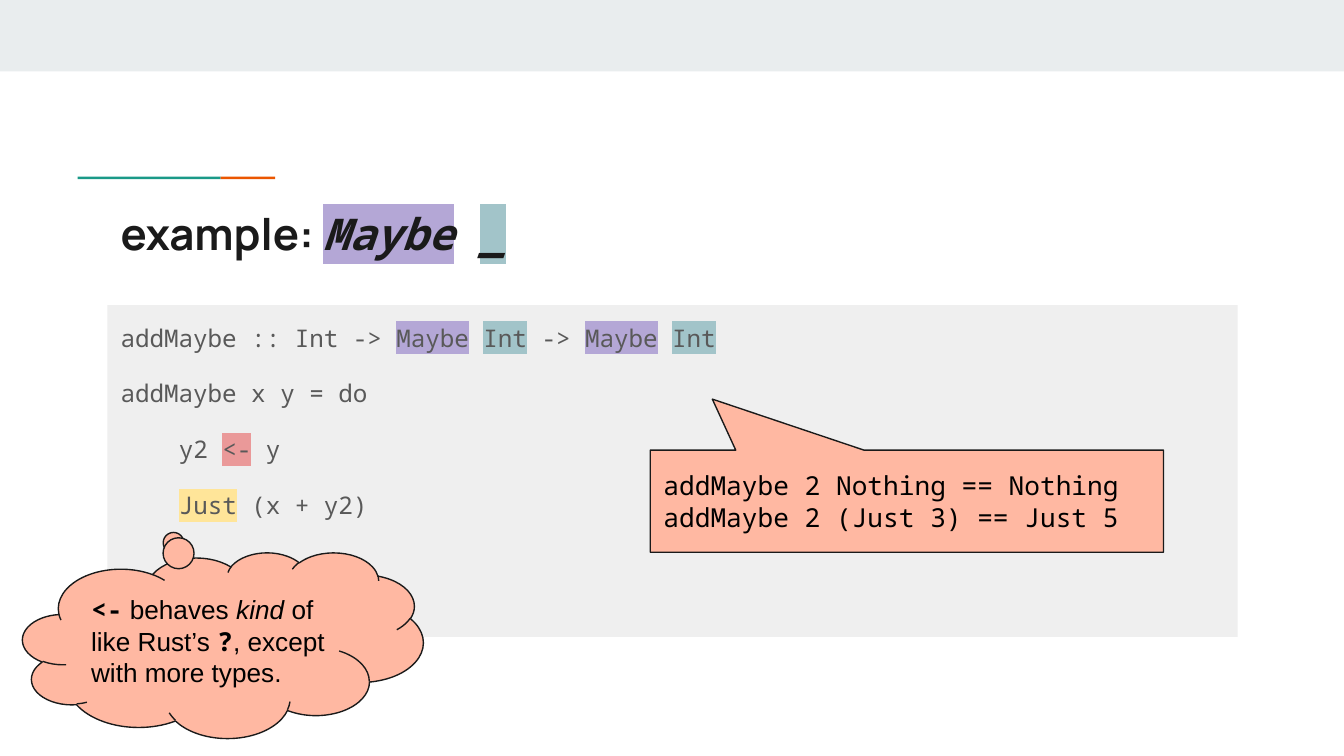
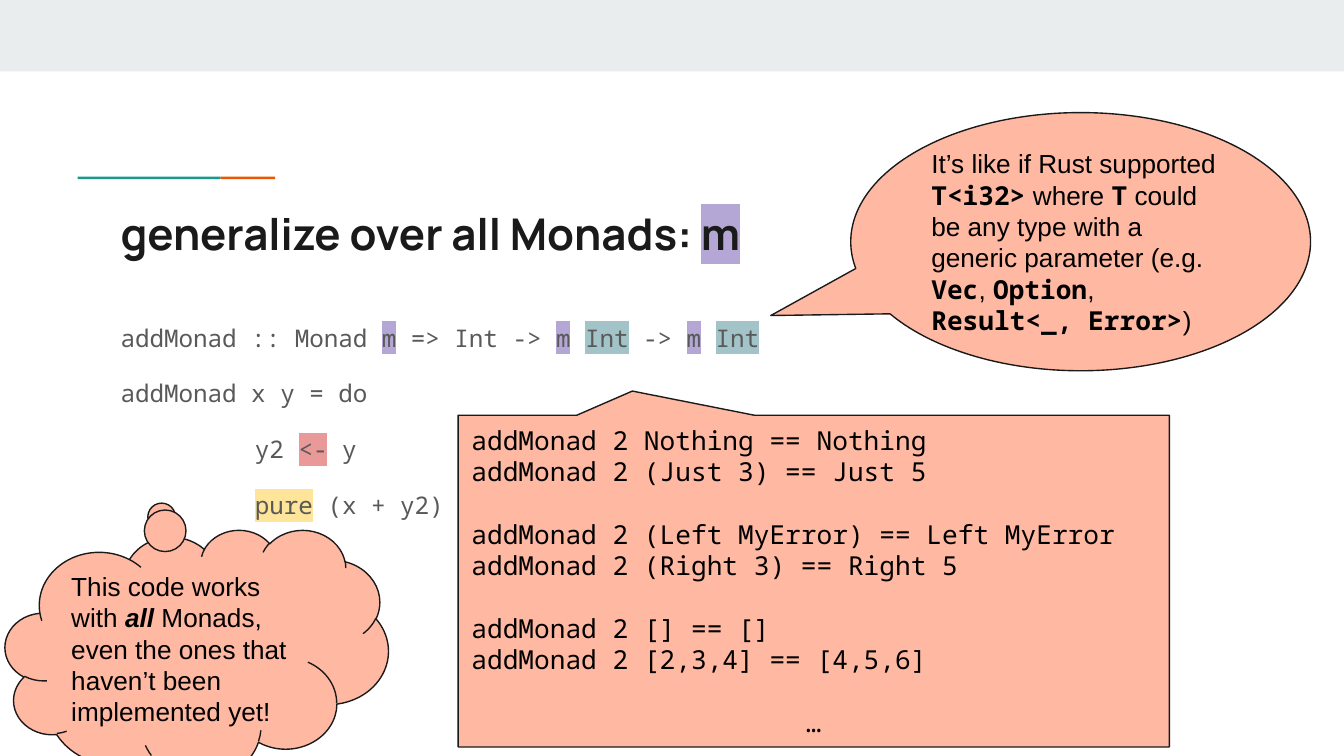
"""Builds two slides on Haskell's Maybe and on code that works for every monad."""
from dataclasses import dataclass

from lxml import etree
from pptx import Presentation
from pptx.dml.color import RGBColor
from pptx.enum import shapes, text
from pptx.oxml.ns import qn
from pptx.util import Cm, Pt


@dataclass(frozen=True)
class Theme:
    heading: str = "Manrope"
    prose: str = "Arial"
    code: str = "Noto Sans Mono"
    ink: str = "1A1A1A"
    code_ink: str = "595959"
    note_ink: str = "000000"
    band: str = "E9EDEE"
    teal: str = "1A9988"
    orange: str = "EB5600"
    panel: str = "EFEFEF"
    note: str = "FFB8A2"
    purple: str = "B4A7D6"
    blue: str = "A2C4C9"
    red: str = "EA9999"
    yellow: str = "FFE599"
    title_size: float = 23.4
    code_size: float = 13
    note_size: float = 14
    outline: float = 0.75


theme = Theme()
kinds = shapes.MSO_SHAPE

heading = dict(font=theme.heading, bold=True)
title_code = dict(font=theme.code, bold=True, italic=True)
code = dict(font=theme.code)
monad = dict(font=theme.code, mark=theme.purple)
inner = dict(font=theme.code, mark=theme.blue)
bind = dict(font=theme.code, mark=theme.red)
wrap = dict(font=theme.code, mark=theme.yellow)
prose = dict(font=theme.prose)
strong_code = dict(font=theme.code, bold=True)


def write(block, paragraphs, size, color, anchor):
    frame = block.text_frame
    frame.word_wrap = True
    frame.vertical_anchor = anchor
    frame.margin_left = frame.margin_right = Cm(0.25)
    frame.margin_top = frame.margin_bottom = Cm(0.25)
    lines = [frame.paragraphs[0]] + [frame.add_paragraph() for _ in paragraphs[1:]]
    for line, runs in zip(lines, paragraphs):
        line.alignment = text.PP_ALIGN.LEFT
        for words, style in runs:
            run = line.add_run()
            run.text = words
            run.font.size = Pt(size)
            run.font.bold = style.get("bold", False)
            run.font.italic = style.get("italic", False)
            run.font.color.rgb = RGBColor.from_string(color)
            if "mark" in style:
                highlight = etree.SubElement(run.font._element, qn("a:highlight"))
                etree.SubElement(highlight, qn("a:srgbClr"), val=style["mark"])
            run.font.name = style["font"]
    return lines


def draw(slide, kind, box, fill, line=None):
    shape = slide.shapes.add_shape(kind, *map(Cm, box))
    shape.shadow.inherit = False
    shape.fill.solid()
    shape.fill.fore_color.rgb = RGBColor.from_string(fill)
    if line:
        shape.line.color.rgb = RGBColor.from_string(line)
        shape.line.width = Pt(theme.outline)
    else:
        shape.line.fill.background()
    return shape


pages = [
    dict(
        title=[("example: ", heading), ("Maybe", title_code | monad),
               (" ", title_code), ("_", title_code | inner)],
        panel=True,
        indent=1.1,
        listing=[
            [("addMaybe :: Int -> ", code), ("Maybe", monad), (" ", code), ("Int", inner),
             (" -> ", code), ("Maybe", monad), (" ", code), ("Int", inner)],
            [("addMaybe x y = do", code)],
            [("y2 ", code), ("<-", bind), (" y", code)],
            [("Just", wrap), (" (x + y2)", code)],
        ],
        callouts=[
            (kinds.ROUNDED_RECTANGULAR_CALLOUT, (12.29, 8.51, 9.7, 1.93), (-0.379, -1, 0), [
                [("addMaybe 2 Nothing == Nothing", code)],
                [("addMaybe 2 (Just 3) == Just 5", code)],
            ]),
            (kinds.CLOUD_CALLOUT, (0.43, 10.44, 7.57, 3.51), (-0.125, -0.558), [
                [("<-", strong_code), (" behaves ", prose), ("kind", prose | dict(italic=True)),
                 (" of like Rust’s ", prose), ("?", strong_code),
                 (", except with more types.", prose)],
            ]),
        ],
    ),
    dict(
        title=[("generalize over all Monads: ", heading), ("m", heading | dict(mark=theme.purple))],
        panel=False,
        indent=2.54,
        listing=[
            [("addMonad :: Monad ", code), ("m", monad), (" => Int -> ", code), ("m", monad),
             (" ", code), ("Int", inner), (" -> ", code), ("m", monad), (" ", code),
             ("Int", inner)],
            [("addMonad x y = do", code)],
            [("y2 ", code), ("<-", bind), (" y", code)],
            [("pure", wrap), (" (x + y2)", code)],
        ],
        callouts=[
            (kinds.ROUNDED_RECTANGULAR_CALLOUT, (8.66, 7.85, 13.44, 6.27), (-0.255, -0.573, 0), [
                [("addMonad 2 Nothing == Nothing", code)],
                [("addMonad 2 (Just 3) == Just 5", code)],
                [("addMonad 2 (Left MyError) == Left MyError", code)],
                [("addMonad 2 (Right 3) == Right 5", code)],
                [("addMonad 2 [] == []", code)],
                [("addMonad 2 [2,3,4] == [4,5,6]", code)],
                [("…", code)],
            ]),
            (kinds.CLOUD_CALLOUT, (0.1, 10.01, 7.24, 4.72), (-0.092, -0.552), [
                [("This code works with ", prose), ("all", prose | dict(bold=True, italic=True)),
                 (" Monads, even the ones that haven’t been implemented yet!", prose)],
            ]),
            (kinds.OVAL_CALLOUT, (16.08, 2.13, 8.69, 4.88), (-0.674, 0.286), [
                [("It’s like if Rust supported ", prose), ("T<i32>", strong_code),
                 (" where ", prose), ("T", strong_code),
                 (" could be any type with a generic parameter (e.g. ", prose),
                 ("Vec", strong_code), (", ", prose), ("Option", strong_code), (", ", prose),
                 ("Result<_, Error>", strong_code), (")", prose)],
            ]),
        ],
    ),
]

deck = Presentation()
deck.slide_width, deck.slide_height = Cm(25.4), Cm(14.29)
title_box = (2.03, 3.66, 21.36, 1.5)
listing_box = (2.03, 5.77, 21.36, 6.27)

for page in pages:
    slide = deck.slides.add_slide(deck.slide_layouts[6])
    for box, fill in [
        ((0, 0, 25.4, 1.35), theme.band),
        ((1.47, 3.34, 2.7, 0.05), theme.teal),
        ((4.17, 3.34, 1.03, 0.05), theme.orange),
    ]:
        draw(slide, kinds.RECTANGLE, box, fill)

    title = slide.shapes.add_textbox(*map(Cm, title_box))
    write(title, [page["title"]], theme.title_size, theme.ink, text.MSO_ANCHOR.MIDDLE)

    if page["panel"]:
        listing = draw(slide, kinds.RECTANGLE, listing_box, theme.panel)
    else:
        listing = slide.shapes.add_textbox(*map(Cm, listing_box))
    statements = write(listing, page["listing"], theme.code_size, theme.code_ink,
                       text.MSO_ANCHOR.TOP)
    for number, statement in enumerate(statements):
        statement.line_spacing = 1.15
        if number > 0:
            statement.space_before = Pt(12)
        if number > 1:
            statement._p.get_or_add_pPr().set("marL", str(Cm(page["indent"])))

    for kind, box, tail, words in page["callouts"]:
        callout = draw(slide, kind, box, theme.note, theme.ink)
        for number, value in enumerate(tail):
            callout.adjustments[number] = value
        examples = write(callout, words, theme.note_size, theme.note_ink,
                         text.MSO_ANCHOR.MIDDLE)
        for group_start in examples[2::2]:
            group_start.space_before = Pt(16.8)
        if words[-1][0][0] == "…":
            examples[-1].alignment = text.PP_ALIGN.CENTER

deck.save("out.pptx")
